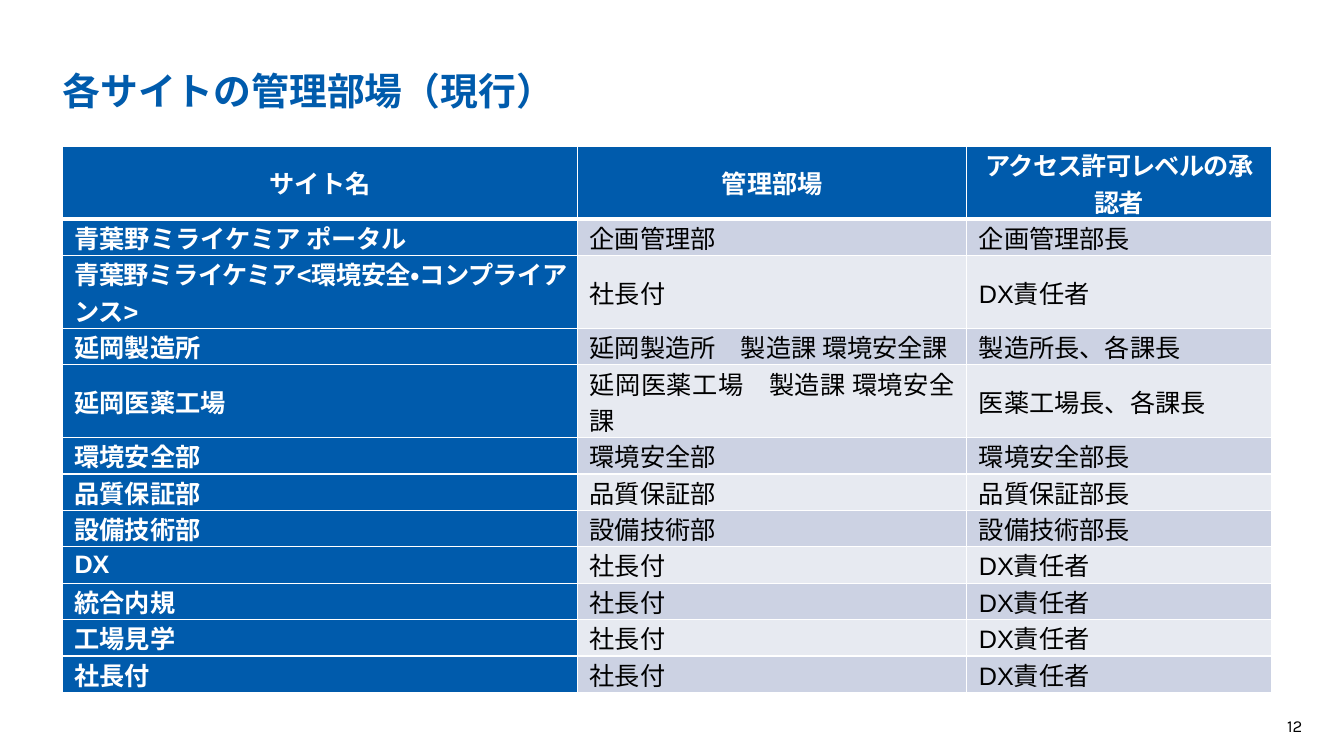
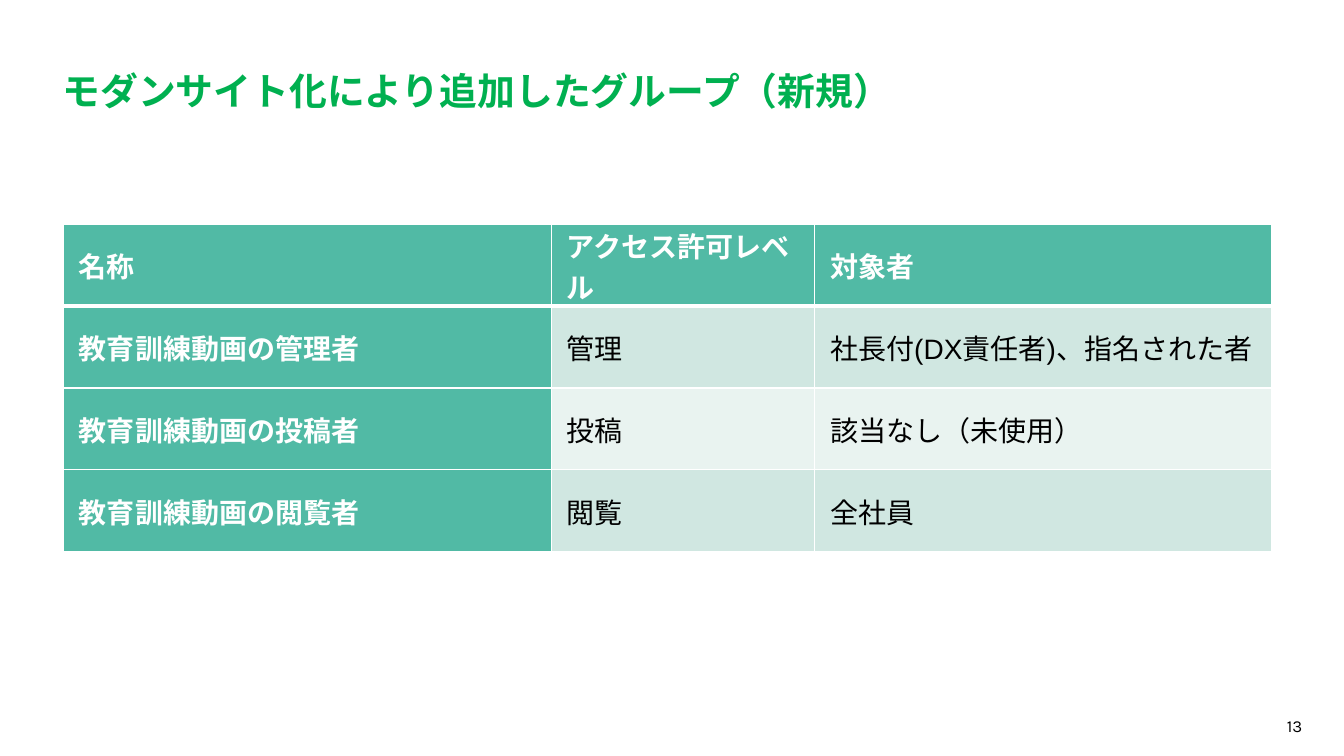
from dataclasses import dataclass

from lxml.etree import SubElement
from pptx import Presentation
from pptx.dml.color import RGBColor
from pptx.enum.lang import MSO_LANGUAGE_ID as Language
from pptx.enum.text import MSO_ANCHOR as Anchor, PP_ALIGN as Align
from pptx.oxml.ns import qn
from pptx.util import Pt

# Shared look
WHITE, BLACK = "FFFFFF", "000000"
DISPLAY_FONT, TABLE_FONT = "Karla", "Arial"
TITLE_BOX = (44.6, 43, 754, 36.5)
NUMBER_BOX = (908.6, 511.2, 28.8, 14.4)
THIN, THICK = 1, 3


@dataclass(frozen=True)
class Palette:
    title: str
    head: str
    bands: tuple[str, str]


@dataclass(frozen=True)
class Grid:
    left: float
    top: float
    columns: tuple[float, ...]
    heights: tuple[float, ...]
    margin: float
    size: float
    head_align: Align
    body_align: Align
    rows: tuple[tuple[str, ...], ...]
    tight: tuple[tuple[int, int], ...] = ()  # cells with condensed spacing


@dataclass(frozen=True)
class PageContent:
    number: int
    title: str
    palette: Palette
    grid: Grid


BLUE = Palette("005BAC", "005BAC", ("CCD2E3", "E7EAF1"))
GREEN = Palette("00B050", "51BAA5", ("D0E7E1", "E9F3F0"))

SITES = Grid(
    left=44.6, top=104.6, columns=(368, 278, 217.5),
    heights=(52, 26, 52, 26, 52) + (26,) * 7,
    margin=8.7, size=18, head_align=Align.CENTER, body_align=Align.JUSTIFY,
    rows=(
        ("サイト名", "管理部場", "アクセス許可レベルの承認者"),
        ("青葉野ミライケミア ポータル", "企画管理部", "企画管理部長"),
        ("青葉野ミライケミア<環境安全・コンプライアンス>", "社長付", "DX責任者"),
        ("延岡製造所", "延岡製造所　製造課 環境安全課", "製造所長、各課長"),
        ("延岡医薬工場", "延岡医薬工場　製造課 環境安全課", "医薬工場長、各課長"),
        ("環境安全部", "環境安全部", "環境安全部長"),
        ("品質保証部", "品質保証部", "品質保証部長"),
        ("設備技術部", "設備技術部", "設備技術部長"),
        ("DX", "社長付", "DX責任者"),
        ("統合内規", "社長付", "DX責任者"),
        ("工場見学", "社長付", "DX責任者"),
        ("社長付", "社長付", "DX責任者"),
    ),
    tight=((0, 2), (2, 0)),
)

GROUPS = Grid(
    left=45.4, top=160.6, columns=(348.5, 188, 326.5),
    heights=(58, 58.5, 58.5, 58.5),
    margin=11, size=20, head_align=Align.LEFT, body_align=Align.LEFT,
    rows=(
        ("名称", "アクセス許可レベル", "対象者"),
        ("教育訓練動画の管理者", "管理", "社長付(DX責任者)、指名された者"),
        ("教育訓練動画の投稿者", "投稿", "該当なし（未使用）"),
        ("教育訓練動画の閲覧者", "閲覧", "全社員"),
    ),
)

PAGES = (
    PageContent(12, "各サイトの管理部場（現行）", BLUE, SITES),
    PageContent(13, "モダンサイト化により追加したグループ（新規）", GREEN, GROUPS),
)


def color(code: str) -> RGBColor:
    return RGBColor.from_string(code)


def write(frame, text: str, *, font: str, size: float, fill: str, bold: bool = False,
          align: Align = Align.LEFT, spacing: float = 0, line: float | None = None,
          after: float | None = None) -> None:
    """Put one formatted paragraph into a text frame."""
    frame.word_wrap = True
    para = frame.paragraphs[0]
    para.alignment = align
    if line is not None:
        para.line_spacing = line
    if after is not None:
        para.space_after = Pt(after)
    span = para.add_run()
    span.text = text
    span.font.name = font
    span.font.size = Pt(size)
    span.font.bold = bold
    span.font.language_id = Language.JAPANESE
    span.font.color.rgb = color(fill)
    if spacing:
        span._r.get_or_add_rPr().set("spc", str(round(spacing * 100)))


def add_text(page, area: tuple[float, ...], text: str, margin: float = 0, **style) -> None:
    box = page.shapes.add_textbox(*map(Pt, area))
    frame = box.text_frame
    frame.margin_left = frame.margin_right = Pt(margin)
    frame.margin_top = frame.margin_bottom = 0
    frame.vertical_anchor = Anchor.MIDDLE
    write(frame, text, font=DISPLAY_FONT, **style)


def set_borders(cell, top: float, bottom: float) -> None:
    """Draw white cell edges; they must stand before the fill."""
    properties = cell._tc.get_or_add_tcPr()
    edges = (("L", THIN), ("R", THIN), ("T", top), ("B", bottom))
    for place, (side, width) in enumerate(edges):
        edge = SubElement(properties, qn(f"a:ln{side}"), w=str(Pt(width)))
        solid = SubElement(edge, qn("a:solidFill"))
        SubElement(solid, qn("a:srgbClr"), val=WHITE)
        properties.insert(place, edge)


def add_grid(page, grid: Grid, palette: Palette) -> None:
    table = page.shapes.add_table(
        len(grid.rows), len(grid.columns), Pt(grid.left), Pt(grid.top),
        Pt(sum(grid.columns)), Pt(sum(grid.heights))).table
    table.horz_banding = False
    table.first_col = True
    for column, width in zip(table.columns, grid.columns):
        column.width = Pt(width)
    for row, height in zip(table.rows, grid.heights):
        row.height = Pt(height)

    for r, texts in enumerate(grid.rows):
        for c, text in enumerate(texts):
            cell = table.cell(r, c)
            is_head = r == 0 or c == 0
            cell.margin_left = cell.margin_right = Pt(grid.margin)
            cell.margin_top = cell.margin_bottom = 0
            cell.vertical_anchor = Anchor.MIDDLE
            cell.fill.solid()
            cell.fill.fore_color.rgb = color(
                palette.head if is_head else palette.bands[(r - 1) % 2])
            set_borders(cell, top=THICK if r == 1 else THIN,
                        bottom=THICK if r == 0 else THIN)
            write(cell.text_frame, text, font=TABLE_FONT, size=grid.size,
                  fill=WHITE if is_head else BLACK, bold=is_head,
                  align=grid.head_align if r == 0 else grid.body_align,
                  spacing=-0.6 if (r, c) in grid.tight else 0)


def add_page(deck, content: PageContent) -> None:
    page = deck.slides.add_slide(deck.slide_layouts[6])
    # Page number and title
    add_text(page, NUMBER_BOX, str(content.number), margin=7.2, size=12,
             fill=BLACK, align=Align.RIGHT, after=6)
    add_text(page, TITLE_BOX, content.title, size=27,
             fill=content.palette.title, bold=True, line=1.2)
    # Table
    add_grid(page, content.grid, content.palette)


def main() -> None:
    deck = Presentation()
    deck.slide_width, deck.slide_height = Pt(960), Pt(540)
    for content in PAGES:
        add_page(deck, content)
    deck.save("out.pptx")


if __name__ == "__main__":
    main()
